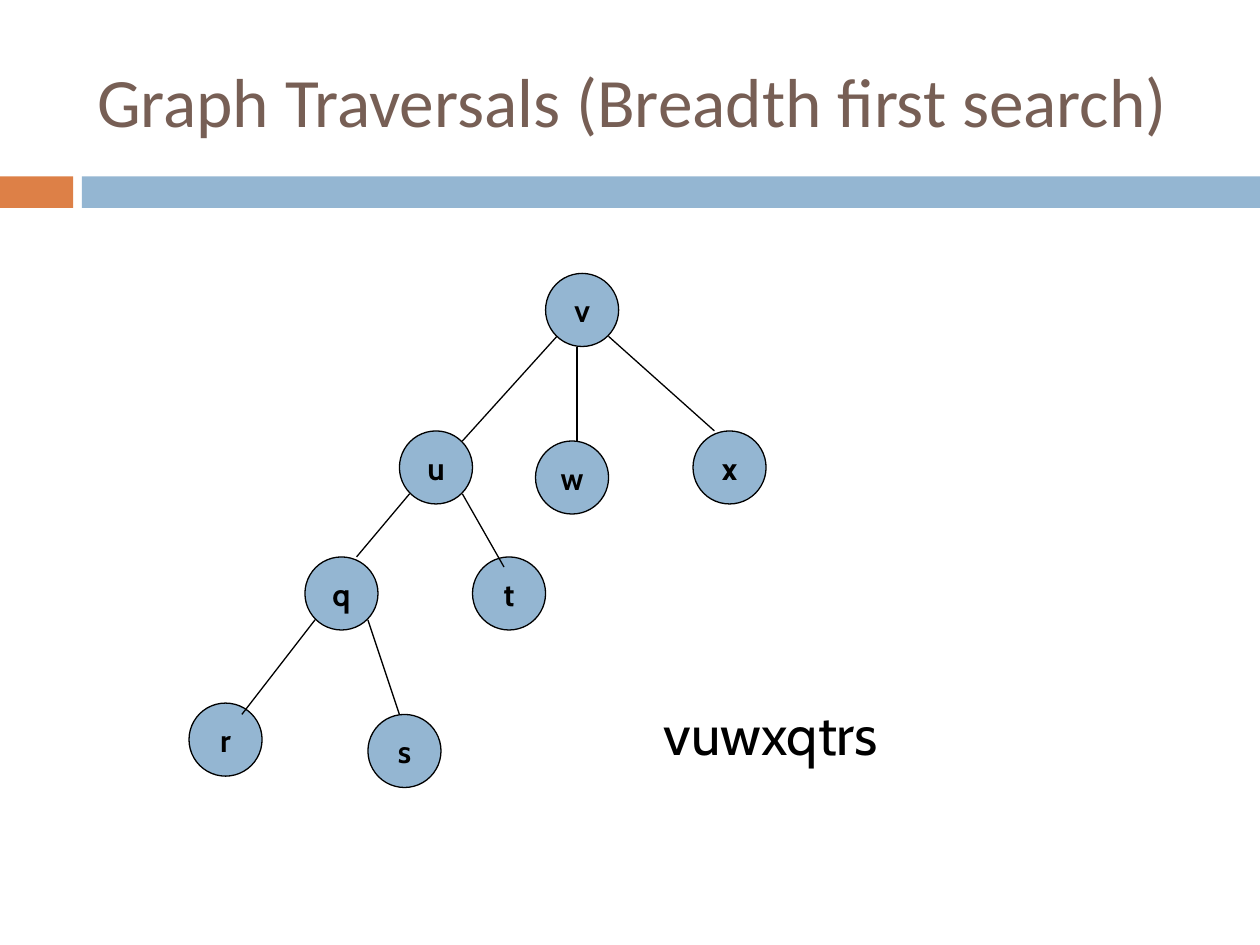
"""Build a slide that shows a breadth first search tree."""
from dataclasses import dataclass

from lxml.etree import SubElement
from pptx import Presentation
from pptx.dml.color import RGBColor
from pptx.enum.shapes import MSO_CONNECTOR, MSO_SHAPE
from pptx.enum.text import MSO_ANCHOR as Anchor, MSO_AUTO_SIZE as AutoSize, PP_ALIGN as Align
from pptx.oxml.ns import qn
from pptx.util import Inches, Pt


@dataclass(frozen=True)
class Theme:
    """Colours, fonts and sizes of the slide."""
    accent: RGBColor = RGBColor(0xDD, 0x80, 0x47)
    band: RGBColor = RGBColor(0x94, 0xB6, 0xD2)
    heading: RGBColor = RGBColor(0x77, 0x5F, 0x55)
    ink: RGBColor = RGBColor(0, 0, 0)
    heading_font: str = "Calibri"
    body_font: str = "Cabin"
    heading_size: float = 39.6
    order_size: float = 32
    node_size: float = 18
    line_width: float = 0.75
    node_diameter: float = 0.58


class TreeSlide:
    """Draws the elements of one slide in one theme."""

    def __init__(self, slide, theme):
        """Keep the slide and its theme."""
        self.slide = slide
        self.theme = theme

    def style(self, paragraph, font, size, color, align=Align.LEFT, bold=False):
        """Align a paragraph and format its runs."""
        paragraph.alignment = align
        for run in paragraph.runs:
            run.font.name = font
            run.font.size = Pt(size)
            run.font.bold = bold
            run.font.color.rgb = color

    def title(self, text, left, top, width, height):
        """Fill and place the title placeholder."""
        heading = self.slide.shapes.title
        heading.left, heading.top = Inches(left), Inches(top)
        heading.width, heading.height = Inches(width), Inches(height)
        frame = heading.text_frame
        frame.text = text
        frame.vertical_anchor = Anchor.MIDDLE
        frame.auto_size = AutoSize.NONE
        self.style(frame.paragraphs[0], self.theme.heading_font,
                   self.theme.heading_size, self.theme.heading)

    def shape(self, kind, left, top, width, height, color):
        """Add a flat filled shape without an outline."""
        shape = self.slide.shapes.add_shape(
            kind, Inches(left), Inches(top), Inches(width), Inches(height))
        shape.shadow.inherit = False
        shape.fill.solid()
        shape.fill.fore_color.rgb = color
        shape.line.fill.background()
        return shape

    def bar(self, left, width, color):
        """Add one part of the band below the title."""
        self.shape(MSO_SHAPE.RECTANGLE, left, 1.4, width, 0.25, color)

    def node(self, label, left, top):
        """Add a labelled tree node."""
        theme = self.theme
        circle = self.shape(MSO_SHAPE.OVAL, left, top, theme.node_diameter,
                            theme.node_diameter, theme.band)
        circle.line.color.rgb = theme.ink
        circle.line.width = Pt(theme.line_width)
        frame = circle.text_frame
        frame.text = label
        frame.word_wrap = False
        frame.vertical_anchor = Anchor.MIDDLE
        self.style(frame.paragraphs[0], theme.body_font, theme.node_size,
                   theme.ink, Align.CENTER, True)

    def edge(self, start, end):
        """Add a line between two points."""
        edge = self.slide.shapes.add_connector(
            MSO_CONNECTOR.STRAIGHT, *map(Inches, start + end))
        edge.line.color.rgb = self.theme.ink
        edge.line.width = Pt(self.theme.line_width)
        SubElement(edge.element.spPr, qn("a:effectLst"))

    def text(self, words, left, top, width, height):
        """Add a wrapping line of text."""
        box = self.slide.shapes.add_textbox(
            Inches(left), Inches(top), Inches(width), Inches(height))
        frame = box.text_frame
        frame.text = words
        frame.word_wrap = True
        frame.auto_size = AutoSize.SHAPE_TO_FIT_TEXT
        self.style(frame.paragraphs[0], self.theme.body_font,
                   self.theme.order_size, self.theme.ink)


NODES = {
    "v": (4.33, 2.17),
    "w": (4.25, 3.5),
    "x": (5.5, 3.42),
    "s": (2.92, 5.67),
    "q": (2.42, 4.42),
    "t": (3.75, 4.42),
    "r": (1.5, 5.58),
    "u": (3.17, 3.42),
}
EDGES = [
    ((4.42, 2.67), (3.67, 3.5)),
    ((4.58, 2.75), (4.58, 3.5)),
    ((4.83, 2.67), (5.67, 3.42)),
    ((3.25, 3.92), (2.83, 4.42)),
    ((2.5, 4.92), (1.92, 5.67)),
    ((3.67, 3.92), (4, 4.5)),
    ((2.92, 4.92), (3.17, 5.67)),
]


def main():
    """Build and save the presentation."""
    deck = Presentation()
    deck.slide_width, deck.slide_height = Inches(10), Inches(7.5)
    theme = Theme()
    page = TreeSlide(deck.slides.add_slide(deck.slide_layouts[5]), theme)
    page.bar(0, 0.58, theme.accent)
    page.bar(0.65, 9.35, theme.band)
    for label, position in NODES.items():
        page.node(label, *position)
    for start, end in EDGES:
        page.edge(start, end)
    page.text("vuwxqtrs", 5.17, 5.5, 4.17, 0.63)
    page.title("Graph Traversals (Breadth first search)", 0.67, 0.25, 8.92, 1.08)
    deck.save("out.pptx")


if __name__ == "__main__":
    main()
